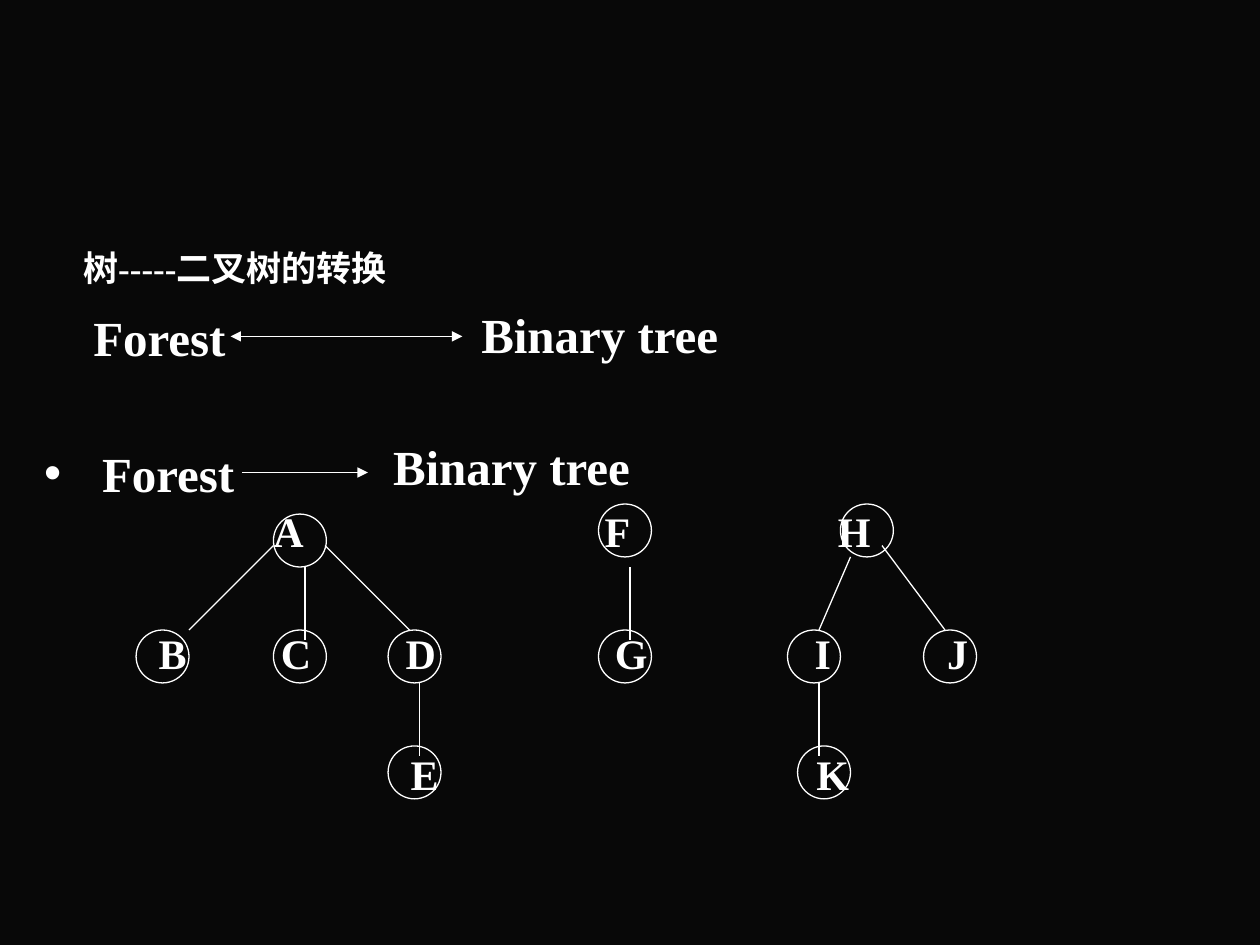
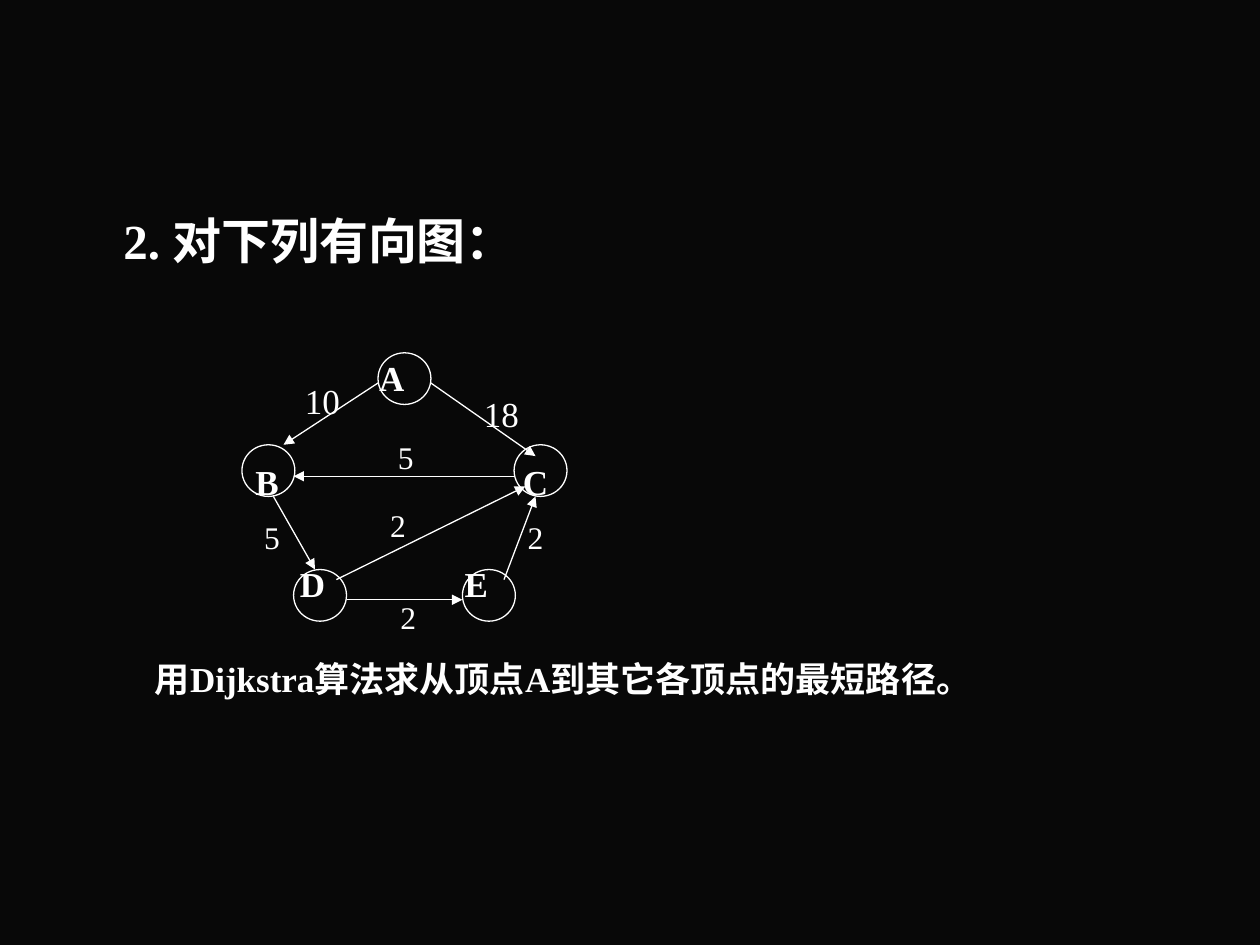
"""Build two slides on forests, binary trees and shortest paths."""
from typing import NamedTuple

from lxml import etree
from pptx import Presentation
from pptx.dml.color import RGBColor
from pptx.enum.shapes import MSO_CONNECTOR, MSO_SHAPE
from pptx.enum.text import MSO_ANCHOR, MSO_AUTO_SIZE, PP_ALIGN
from pptx.oxml.ns import qn
from pptx.util import Inches, Pt

BLACK = RGBColor(0x08, 0x08, 0x08)
WHITE = RGBColor(0xFF, 0xFF, 0xFF)
FONT = "Times New Roman"
OVAL = MSO_SHAPE.OVAL
STRAIGHT = MSO_CONNECTOR.STRAIGHT
TOP, MIDDLE = MSO_ANCHOR.TOP, MSO_ANCHOR.MIDDLE
LEFT, CENTER = PP_ALIGN.LEFT, PP_ALIGN.CENTER
NO_FIT = MSO_AUTO_SIZE.NONE
TITLE_AND_CONTENT = 1
NODE_WIDTH = 0.42
LINE_WIDTH = Pt(0.75)


class Node(NamedTuple):
    letter: str
    left: float
    top: float
    letter_x: float
    letter_y: float


class Edge(NamedTuple):
    x1: float
    y1: float
    x2: float
    y2: float


class Label(NamedTuple):
    text: str
    x: float
    y: float
    size: int
    bold: bool = False


class Line(NamedTuple):
    text: str
    size: int
    margin: float = 0
    hanging: float = 0
    space_before: float = 0


FOREST_NODES = [
    Node("A", 2.17, 4.08, 2.29, 4.21),
    Node("F", 4.75, 4, 4.9, 4.21),
    Node("H", 6.67, 4, 6.78, 4.21),
    Node("B", 1.08, 5, 1.37, 5.18),
    Node("C", 2.17, 5, 2.35, 5.18),
    Node("D", 3.08, 5, 3.34, 5.18),
    Node("G", 4.75, 5, 5.01, 5.18),
    Node("I", 6.25, 5, 6.53, 5.18),
    Node("J", 7.33, 5, 7.6, 5.18),
    Node("E", 3.08, 5.92, 3.37, 6.14),
    Node("K", 6.33, 5.92, 6.61, 6.14),
]
FOREST_EDGES = [
    Edge(2.42, 4.5, 2.42, 5.08),
    Edge(5, 4.5, 5, 5.08),
    Edge(3.33, 5.42, 3.33, 6),
    Edge(6.5, 5.42, 6.5, 6),
    Edge(2.17, 4.33, 1.5, 5),
    Edge(2.58, 4.33, 3.25, 5),
    Edge(6.75, 4.42, 6.5, 5),
    Edge(7, 4.33, 7.5, 5),
]
BINARY_TREES = [
    Label("Binary tree", 4.76, 2.65, 28, True),
    Label("Binary tree", 4.06, 3.7, 28, True),
]
GRAPH_NODES = [
    Node("A", 3, 2.8, 3.11, 3),
    Node("B", 1.92, 3.53, 2.12, 3.82),
    Node("C", 4.08, 3.53, 4.25, 3.82),
    Node("E", 3.67, 4.52, 3.78, 4.63),
    Node("D", 2.33, 4.52, 2.48, 4.63),
]
GRAPH_EDGES = [
    Edge(3, 3.04, 2.25, 3.53),
    Edge(3.42, 3.04, 4.25, 3.62),
    Edge(4.08, 3.78, 2.33, 3.78),
    Edge(2.67, 4.6, 4.17, 3.86),
    Edge(4, 4.6, 4.25, 3.94),
    Edge(2.75, 4.76, 3.67, 4.76),
    Edge(2.17, 3.94, 2.5, 4.52),
]
WEIGHTS = [
    Label("10", 2.56, 3.18, 20),
    Label("18", 3.98, 3.28, 20),
    Label("5", 3.22, 3.63, 18),
    Label("2", 4.25, 4.26, 18),
    Label("2", 3.16, 4.17, 18),
    Label("2", 3.24, 4.9, 18),
    Label("5", 2.16, 4.26, 18),
]


def style_font(paragraph, size: int, bold: bool) -> None:
    for run in paragraph.runs:
        run.font.name = FONT
        run.font.size = Pt(size)
        run.font.bold = bold
        run.font.color.rgb = WHITE


def fill_placeholder(placeholder, left: float, top: float, width: float,
                     height: float, lines: list[Line]) -> None:
    placeholder.left, placeholder.top = Inches(left), Inches(top)
    placeholder.width, placeholder.height = Inches(width), Inches(height)
    frame = placeholder.text_frame
    frame.text = "\n".join(line.text for line in lines)
    frame.auto_size = NO_FIT
    frame.vertical_anchor = TOP
    for paragraph, line in zip(frame.paragraphs, lines):
        properties = paragraph._p.get_or_add_pPr()
        properties.set("marL", str(Inches(line.margin)))
        properties.set("indent", str(-Inches(line.hanging)))
        if not line.hanging:
            etree.SubElement(properties, qn("a:buNone"))
        paragraph.alignment = LEFT
        paragraph.space_before = Pt(line.space_before)
        style_font(paragraph, line.size, True)


def add_label(slide, label: Label) -> None:
    width, height = (2.4, 0.5) if len(label.text) > 2 else (0.6, 0.4)
    box = slide.shapes.add_textbox(Inches(label.x - width / 2), Inches(label.y - height / 2),
                                   Inches(width), Inches(height))
    frame = box.text_frame
    frame.word_wrap = True
    frame.vertical_anchor = MIDDLE
    frame.margin_top = frame.margin_bottom = 0
    frame.text = label.text
    frame.paragraphs[0].alignment = CENTER
    style_font(frame.paragraphs[0], label.size, label.bold)


def add_nodes(slide, nodes: list[Node], height: float, letter_size: int) -> None:
    for node in nodes:
        circle = slide.shapes.add_shape(OVAL, Inches(node.left), Inches(node.top),
                                        Inches(NODE_WIDTH), Inches(height))
        circle.shadow.inherit = False
        circle.fill.background()
        circle.line.color.rgb = WHITE
        circle.line.width = LINE_WIDTH
        add_label(slide, Label(node.letter, node.letter_x, node.letter_y, letter_size, True))


def add_edge(slide, edge: Edge, *arrow_ends: str) -> None:
    connector = slide.shapes.add_connector(STRAIGHT, *(Inches(value) for value in edge))
    connector.line.color.rgb = WHITE
    connector.line.width = LINE_WIDTH
    properties = connector._element.spPr
    for end in arrow_ends:
        etree.SubElement(properties.find(qn("a:ln")), qn(f"a:{end}"), type="triangle")
    etree.SubElement(properties, qn("a:effectLst"))


def build_forest_slide(slide) -> None:
    fill_placeholder(slide.shapes.title, 0.56, 1.91, 9, 0.48,
                     [Line("树-----二叉树的转换", 20)])
    fill_placeholder(slide.placeholders[1], 0.25, 2.39, 3, 1.6,
                     [Line("Forest", 28, margin=0.39),
                      Line("Forest", 28, margin=0.46, hanging=0.46, space_before=44)])
    add_nodes(slide, FOREST_NODES, NODE_WIDTH, 24)
    for edge in FOREST_EDGES:
        add_edge(slide, edge)
    for label in BINARY_TREES:
        add_label(slide, label)
    add_edge(slide, Edge(1.83, 2.67, 3.67, 2.67), "headEnd", "tailEnd")
    add_edge(slide, Edge(1.92, 3.75, 2.92, 3.75), "tailEnd")


def build_graph_slide(slide) -> None:
    fill_placeholder(slide.shapes.title, 0.88, 1.62, 8.37, 0.7,
                     [Line("2. 对下列有向图：", 28)])
    fill_placeholder(slide.placeholders[1], 1.13, 5.17, 8.12, 0.5,
                     [Line("用Dijkstra算法求从顶点A到其它各顶点的最短路径。", 20)])
    add_nodes(slide, GRAPH_NODES, 0.41, 20)
    for edge in GRAPH_EDGES:
        add_edge(slide, edge, "tailEnd")
    for weight in WEIGHTS:
        add_label(slide, weight)


def main() -> None:
    deck = Presentation()
    deck.slide_width, deck.slide_height = Inches(10), Inches(7.5)
    background = deck.slide_master.background.fill
    background.solid()
    background.fore_color.rgb = BLACK
    layout = deck.slide_layouts[TITLE_AND_CONTENT]
    for build in (build_forest_slide, build_graph_slide):
        build(deck.slides.add_slide(layout))
    deck.save("out.pptx")


if __name__ == "__main__":
    main()
